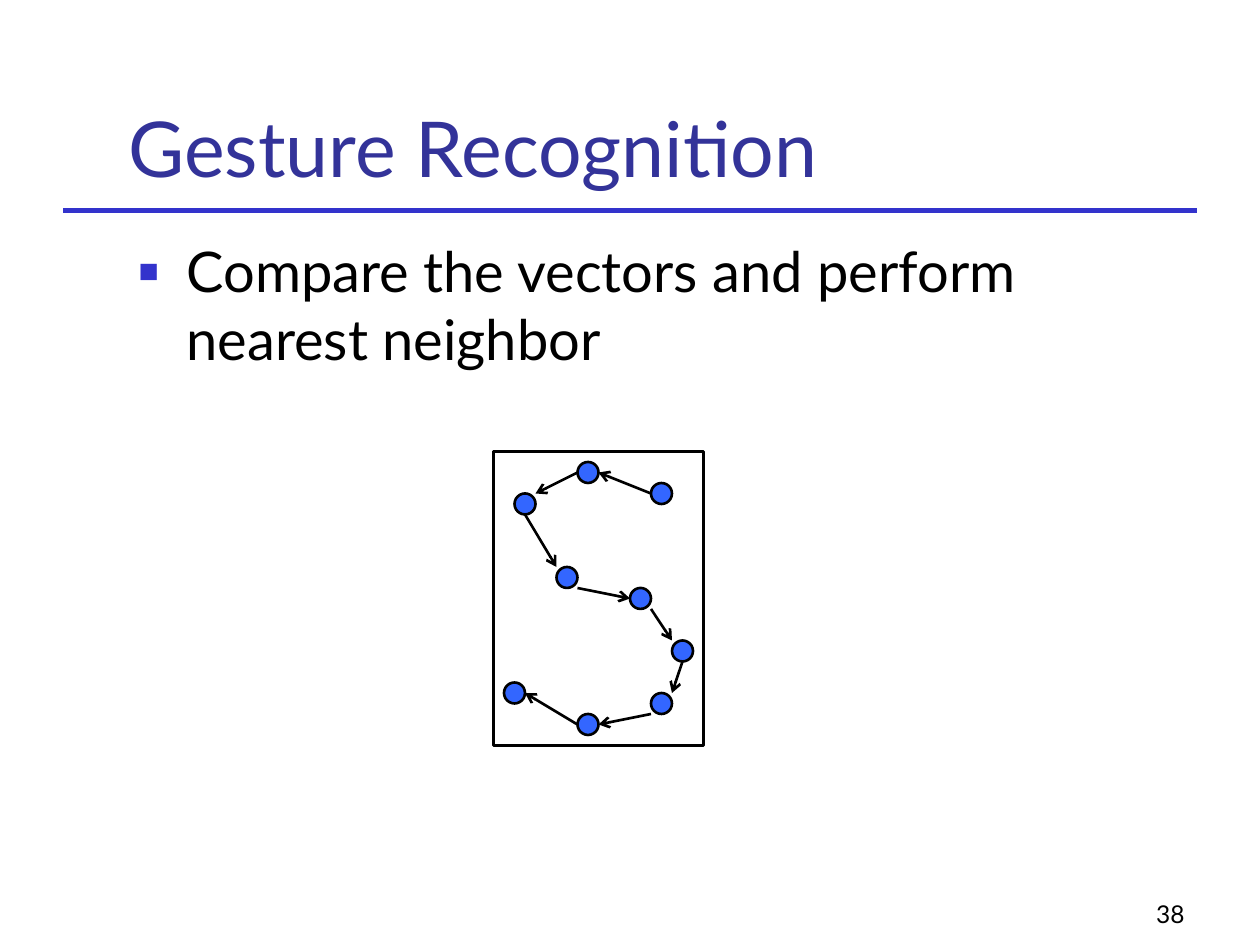
import pptx
import pptx.util
import pptx.dml.color
import pptx.enum.shapes
import pptx.enum.text
import pptx.oxml.ns
from lxml import etree

Inches, Pt = pptx.util.Inches, pptx.util.Pt
RGBColor = pptx.dml.color.RGBColor
MSO_SHAPE = pptx.enum.shapes.MSO_SHAPE
MSO_ANCHOR = pptx.enum.text.MSO_ANCHOR
PP_ALIGN = pptx.enum.text.PP_ALIGN
qn = pptx.oxml.ns.qn

# Content
TITLE = "Gesture Recognition"
BULLET = "Compare the vectors and perform nearest neighbor"
SLIDE_NUMBER = "38"

# Gesture drawing, in grid units of 1/12 inch
GRID = 1 / 12
FRAME = (47, 43, 20, 28)
DOT_SIZE = 2
DOTS = [(62, 46), (55, 44), (49, 47), (53, 54), (60, 56),
        (64, 61), (62, 66), (55, 68), (48, 65)]
# Where each arrow leaves its dot and meets the next, from each dot's top left
ARROW_ENDS = [((0, 1), (2, 1)), ((0, 1), (2, 0)), ((1, 2), (0, 0)),
              ((2, 2), (0, 1)), ((2, 2), (0, 0)), ((1, 2), (2, 0)),
              ((0, 2), (2, 1)), ((0, 1), (2, 1))]

FONT = "Lato"
BLACK = RGBColor(0x00, 0x00, 0x00)
TITLE_BLUE = RGBColor(0x33, 0x33, 0x99)
RULE_BLUE = RGBColor(0x33, 0x33, 0xCC)
DOT_BLUE = RGBColor(0x33, 0x66, 0xFF)


def grid(*units):
    return [Inches(unit * GRID) for unit in units]


def write_text(shape, box, text, size, color, anchor, alignment):
    shape.left, shape.top, shape.width, shape.height = map(Inches, box)
    frame = shape.text_frame
    frame.text = text
    frame.word_wrap = True
    frame.auto_size = pptx.enum.text.MSO_AUTO_SIZE.NONE
    frame.vertical_anchor = anchor
    paragraph = frame.paragraphs[0]
    paragraph.alignment = alignment
    font = paragraph.runs[0].font
    font.name, font.size, font.color.rgb = FONT, Pt(size), color
    return paragraph


def set_square_bullet(paragraph):
    paragraph.space_before = Pt(8)
    properties = paragraph._p.get_or_add_pPr()
    properties.set("marL", str(Inches(0.38)))
    properties.set("indent", str(-Inches(0.38)))
    color = etree.SubElement(properties, qn("a:buClr"))
    etree.SubElement(color, qn("a:srgbClr"), val=str(RULE_BLUE))
    etree.SubElement(properties, qn("a:buSzPct"), val="60000")
    etree.SubElement(properties, qn("a:buFont"), typeface="Arial")
    etree.SubElement(properties, qn("a:buChar"), char="■")


def add_outlined(slide, kind, box, fill=None):
    shape = slide.shapes.add_shape(kind, *box)
    shape.shadow.inherit = False
    if fill is None:
        shape.fill.background()
    else:
        shape.fill.solid()
        shape.fill.fore_color.rgb = fill
    shape.line.color.rgb = BLACK
    shape.line.width = Pt(1.5)


def add_line(slide, start, end, color, width, arrow=False):
    line = slide.shapes.add_connector(
        pptx.enum.shapes.MSO_CONNECTOR.STRAIGHT, *start, *end)
    line.line.color.rgb = color
    line.line.width = Pt(width)
    properties = line._element.spPr
    if arrow:
        etree.SubElement(properties.find(qn("a:ln")), qn("a:tailEnd"), type="arrow")
    etree.SubElement(properties, qn("a:effectLst"))


def main():
    presentation = pptx.Presentation()
    presentation.slide_width, presentation.slide_height = Inches(10), Inches(7.5)
    slide = presentation.slides.add_slide(presentation.slide_layouts[1])

    # Rule under the title, and slide number
    add_line(slide, (Inches(0.5), Inches(1.67)), (Inches(9.5), Inches(1.67)),
             RULE_BLUE, 3)
    write_text(slide.shapes.add_textbox(0, 0, 0, 0), (7.42, 6.92, 2.08, 0.5),
               SLIDE_NUMBER, 14, BLACK, MSO_ANCHOR.BOTTOM, PP_ALIGN.RIGHT)

    # Title and bullet
    write_text(slide.shapes.title, (0.92, 0.33, 8.52, 1.25), TITLE, 44,
               TITLE_BLUE, MSO_ANCHOR.BOTTOM, PP_ALIGN.LEFT)
    bullet = write_text(slide.placeholders[1], (1, 1.83, 8.5, 4.83), BULLET, 32,
                        BLACK, MSO_ANCHOR.TOP, PP_ALIGN.LEFT)
    set_square_bullet(bullet)

    # Gesture: frame, dots and arrows from dot to dot
    add_outlined(slide, MSO_SHAPE.RECTANGLE, grid(*FRAME))
    for x, y in DOTS:
        add_outlined(slide, MSO_SHAPE.OVAL, grid(x, y, DOT_SIZE, DOT_SIZE), DOT_BLUE)
    for (x1, y1), (x2, y2), (leave, meet) in zip(DOTS, DOTS[1:], ARROW_ENDS):
        add_line(slide, grid(x1 + leave[0], y1 + leave[1]),
                 grid(x2 + meet[0], y2 + meet[1]), BLACK, 1.5, arrow=True)

    presentation.save("out.pptx")


if __name__ == "__main__":
    main()
